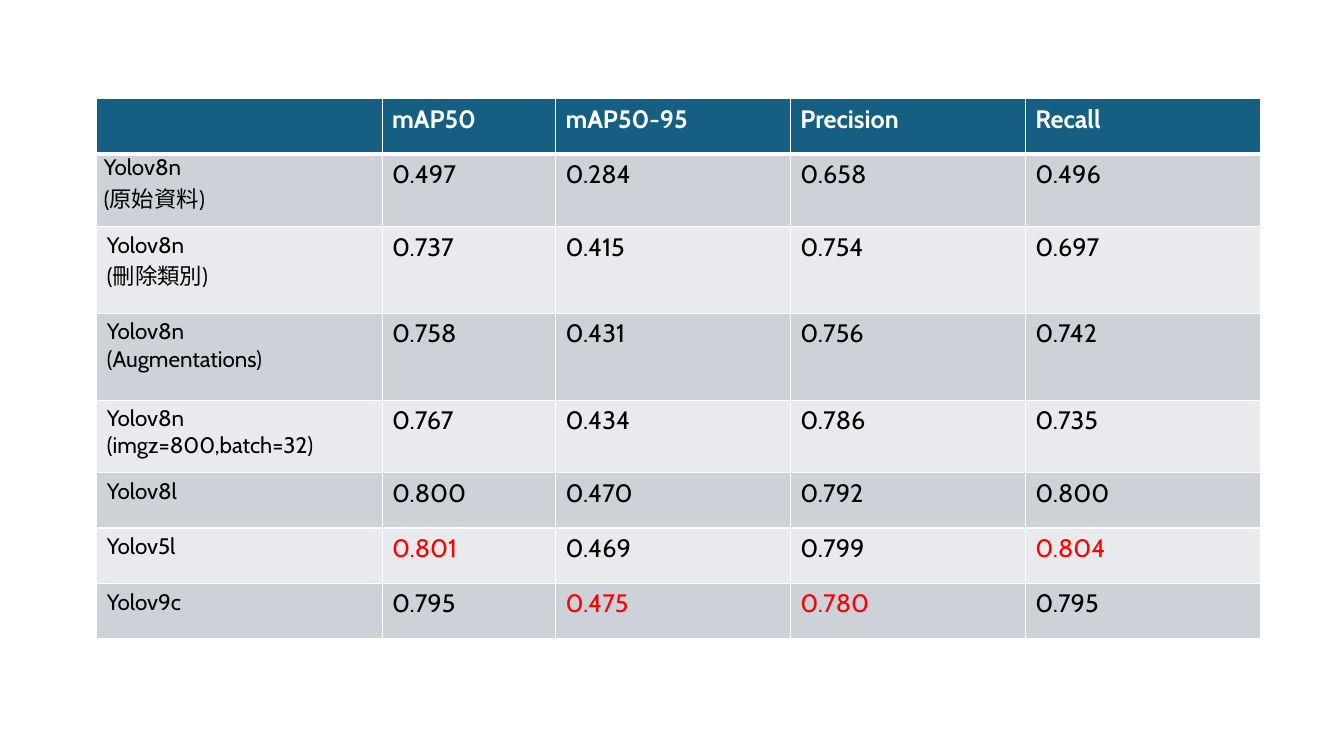
import dataclasses

import lxml.etree
import pptx
import pptx.dml.color
import pptx.oxml.ns
import pptx.util


@dataclasses.dataclass(frozen=True)
class Theme:
    font: str = "Cabin"
    header_fill: str = "156082"
    band_fills: tuple = ("CCD2D8", "E8EAED")
    white: str = "FFFFFF"
    text: str = "000000"
    best: str = "FF0000"
    value_size: int = 18
    model_size: int = 16
    thin_line: int = 1
    header_line: int = 3


THEME = Theme()
HEADER = ("", "mAP50", "mAP50-95", "Precision", "Recall")
RESULTS = (
    ("Yolov8n\n(原始資料)", "0.497", "0.284", "0.658", "0.496"),
    ("Yolov8n\n(刪除類別)", "0.737", "0.415", "0.754", "0.697"),
    ("Yolov8n\n(Augmentations)", "0.758", "0.431", "0.756", "0.742"),
    ("Yolov8n\n(imgz=800,batch=32)", "0.767", "0.434", "0.786", "0.735"),
    ("Yolov8l", "0.800", "0.470", "0.792", "0.800"),
    ("Yolov5l", "0.801", "0.469", "0.799", "0.804"),
    ("Yolov9c", "0.795", "0.475", "0.780", "0.795"),
)
HIGHLIGHTS = {(6, 1), (6, 4), (7, 2), (7, 3)}
COLUMN_WIDTHS = (2.83, 1.72, 2.33, 2.33, 2.33)
ROW_HEIGHTS = (0.55, 0.72, 0.86, 0.86, 0.72, 0.55, 0.55, 0.55)


def rgb(value):
    return pptx.dml.color.RGBColor.from_string(value)


def set_borders(cell, widths):
    properties = cell._tc.get_or_add_tcPr()
    qualified = pptx.oxml.ns.qn
    for position, (side, width) in enumerate(widths.items()):
        line = lxml.etree.Element(qualified(f"a:ln{side}"), w=str(pptx.util.Pt(width)))
        fill = lxml.etree.SubElement(line, qualified("a:solidFill"))
        lxml.etree.SubElement(fill, qualified("a:srgbClr"), val=THEME.white)
        properties.insert(position, line)


def format_cell(cell, row, column):
    is_header = row == 0
    fill = THEME.header_fill if is_header else THEME.band_fills[(row - 1) % 2]
    cell.fill.solid()
    cell.fill.fore_color.rgb = rgb(fill)
    color = THEME.white if is_header else THEME.text
    if (row, column) in HIGHLIGHTS:
        color = THEME.best
    is_model = column == 0 and not is_header
    for paragraph in cell.text_frame.paragraphs:
        for run in paragraph.runs:
            run.font.name = THEME.font
            run.font.size = pptx.util.Pt(THEME.model_size if is_model else THEME.value_size)
            run.font.bold = is_header
            run.font.color.rgb = rgb(color)
    set_borders(cell, {
        "L": THEME.thin_line,
        "R": THEME.thin_line,
        "T": THEME.header_line if row == 1 else THEME.thin_line,
        "B": THEME.header_line if is_header else THEME.thin_line,
    })


def add_results_table(slide, left, top, width, height):
    rows = (HEADER, *RESULTS)
    frame = slide.shapes.add_table(len(rows), len(HEADER), left, top, width, height)
    table = frame.table
    for column, column_width in zip(table.columns, COLUMN_WIDTHS):
        column.width = pptx.util.Inches(column_width)
    for row, row_height in zip(table.rows, ROW_HEIGHTS):
        row.height = pptx.util.Inches(row_height)
    for row, values in enumerate(rows):
        for column, value in enumerate(values):
            cell = table.cell(row, column)
            cell.text_frame.text = value
            format_cell(cell, row, column)
    first_model = table.cell(1, 0)
    first_model.margin_left = first_model.margin_right = pptx.util.Inches(0.07)
    first_model.margin_top = first_model.margin_bottom = 0


def main():
    presentation = pptx.Presentation()
    presentation.slide_width = pptx.util.Inches(13.33)
    presentation.slide_height = pptx.util.Inches(7.5)
    slide = presentation.slides.add_slide(presentation.slide_layouts.get_by_name("Blank"))
    add_results_table(
        slide,
        pptx.util.Inches(0.96),
        pptx.util.Inches(0.98),
        pptx.util.Inches(sum(COLUMN_WIDTHS)),
        pptx.util.Inches(sum(ROW_HEIGHTS)),
    )
    presentation.save("out.pptx")


if __name__ == "__main__":
    main()
